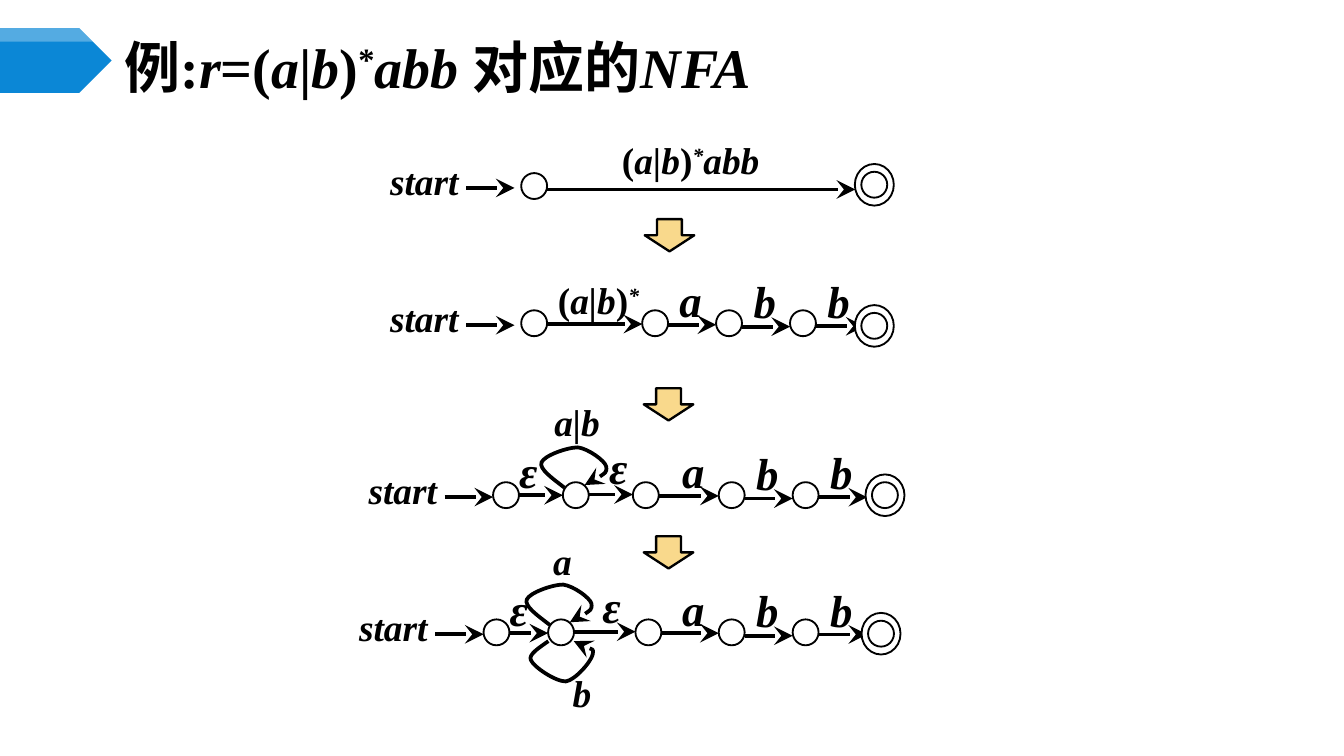
from lxml.etree import SubElement
from pptx import Presentation
from pptx.dml.color import RGBColor
from pptx.enum.shapes import MSO_CONNECTOR, MSO_SHAPE
from pptx.enum.text import MSO_ANCHOR, MSO_AUTO_SIZE, PP_ALIGN
from pptx.oxml.ns import qn
from pptx.util import Pt

THEME = {
    "font": "Times New Roman",
    "ink": RGBColor(0, 0, 0),
    "paper": RGBColor(255, 255, 255),
    "blue": RGBColor(0x0B, 0x87, 0xD6),
    "gold": RGBColor(0xF9, 0xD9, 0x8C),
    "title": 30, "label": 20, "sign": 24,
    "thin": 1, "edge": 2, "step": 1.25,
}

TITLE = [("例:", ""), ("r", "i"), ("=(", ""), ("a", "i"), ("|", ""), ("b", "i"),
         (")", ""), ("*", "s"), ("abb ", "i"), ("对应的", ""), ("NFA", "i")]
STAR = [("(", ""), ("a|b", "i"), (")", ""), ("*", "is")]
FULL = STAR + [("abb", "i")]
START, UNION, A, B, EPS = [[(text, "i")] for text in ("start", "a|b", "a", "b", "ε")]

UPPER = [(-6.1, -4), (-12.6, -9), (-19.8, -14), (-18.4, -17.6), (-16.9, -21.2),
         (-4.7, -25.6), (1.1, -25.6), (6.8, -24.8), (15.5, -18.4), (16.2, -15.5),
         (16.9, -11.9), (11.2, -8.3), (4.7, -5.4)]
LOWER = [(-6.8, 4.7), (-11.9, 8.3), (-17.6, 11.9), (-16.2, 14.8), (-14.8, 18.4),
         (-3.2, 26.3), (2.5, 26.3), (7.6, 25.6), (16.2, 15.5), (16.9, 11.9),
         (17.6, 8.3), (11.9, 6.8), (6.8, 4.7)]

ROWS = [
    {"mid": 99.7, "nodes": [286.2], "ring": (468.4, 99), "gap": 3.6, "reach": 165,
     "edges": [(FULL, "label", 370, 14, 1.8)], "loops": []},
    {"mid": 173.2, "nodes": [286.2, 351, 390.6, 430.2], "ring": (468.4, 174.6),
     "gap": 3.6, "reach": 26,
     "edges": [(STAR, "label", 320.7, 12.6, 0.4), (A, "sign", 370, 12.6, 0.8),
               (B, "sign", 409.7, 12, 1.8), (B, "sign", 449.3, 12, 1.6)], "loops": []},
    {"mid": 265.3, "nodes": [271.1, 308.5, 346, 392, 431.6], "ring": (474.1, 265.3),
     "gap": 0, "reach": 26,
     "edges": [(EPS, "sign", 283, 13.3, 0), (EPS, "sign", 331.2, 15.5, -0.4),
               (A, "sign", 371.5, 13.3, 0.4), (B, "sign", 411.1, 12, 1.8),
               (B, "sign", 450.7, 12.6, 1.1)],
     "loops": [(UPPER, 1, UNION, 309.2, 226)]},
    {"mid": 338.8, "nodes": [266, 300.6, 347.4, 392, 431.6], "ring": (472, 339.5),
     "gap": 0, "reach": 26,
     "edges": [(EPS, "sign", 277.9, 12.6, 0.4), (EPS, "sign", 327.6, 14.1, -0.4),
               (A, "sign", 371.5, 12.6, 0.4), (B, "sign", 411.1, 12, 1.8),
               (B, "sign", 450.7, 12, 1.1)],
     "loops": [(UPPER, 1, A, 301.3, 300.2), (LOWER, 1, B, 311.8, 370.8)]},
]
STEPS = [(345.4, 117.4), (344.9, 208), (344.9, 287.3)]
BADGE = [("blue", [(0, 15.1), (42.5, 15.1), (59.8, 32.4), (42.5, 49.7), (0, 49.7)]),
         ("paper", [(0, 15.1), (42.5, 15.1), (49.7, 22.3), (0, 22.3)])]
DOT, RING = 13.9, (20.9, 22.3)
LEAD, BACK, LIFT = 26, 22.3, 3.2


def put(item, **vals):
    for name, val in vals.items():
        setattr(item, name, val)


def paint(shape, fill=None, line=None):
    shape.shadow.inherit = False
    if fill:
        shape.fill.solid()
        shape.fill.fore_color.rgb = THEME[fill]
    else:
        shape.fill.background()
    if line:
        shape.line.color.rgb = THEME["ink"]
        shape.line.width = Pt(THEME[line])
    else:
        shape.line.fill.background()


def write(frame, runs, size, align):
    para = frame.paragraphs[0]
    para.alignment = align
    for text, marks in runs:
        run = para.add_run()
        run.text = text
        put(run.font, name=THEME["font"], size=Pt(THEME[size]), bold=True,
            italic="i" in marks)
        run.font.color.rgb = THEME["ink"]
        if "s" in marks:
            run.font._element.set("baseline", "30000")


def label(shapes, runs, size, x, y, high=24.5):
    wide = max(52, 11 * sum(len(text) for text, marks in runs))
    box = shapes.add_textbox(Pt(x - wide / 2), Pt(y - high / 2), Pt(wide), Pt(high))
    put(box.text_frame, word_wrap=False, vertical_anchor=MSO_ANCHOR.MIDDLE)
    write(box.text_frame, runs, size, PP_ALIGN.CENTER)


def oval(shapes, x, y, wide=DOT, high=DOT):
    dot = shapes.add_shape(MSO_SHAPE.OVAL, Pt(x - wide / 2), Pt(y - high / 2),
                           Pt(wide), Pt(high))
    paint(dot, "paper", "thin")


def tip(shape):
    SubElement(shape.line._get_or_add_ln(), qn("a:tailEnd"), type="stealth",
               w="lg", len="lg")


def arrow(shapes, x, end, y):
    edge = shapes.add_connector(MSO_CONNECTOR.STRAIGHT, Pt(x), Pt(y), Pt(end), Pt(y))
    edge.line.color.rgb = THEME["ink"]
    edge.line.width = Pt(THEME["edge"])
    tip(edge)
    SubElement(edge._element.spPr, qn("a:effectLst"))


def outline(shapes, points, close):
    spots = [(Pt(x), Pt(y)) for x, y in points]
    pen = shapes.build_freeform(*spots[0])
    pen.add_line_segments(spots[1:], close=close)
    return pen.convert_to_shape()


def loop(shapes, curve, x, y):
    arc = outline(shapes, [(x + dx, y + dy) for dx, dy in curve], False)
    legs = arc._element.xpath(".//a:lnTo")
    for i in range(0, len(legs), 3):
        bend = SubElement(legs[i].getparent(), qn("a:cubicBezTo"))
        for leg in legs[i:i + 3]:
            bend.append(leg[0])
            leg.getparent().remove(leg)
    paint(arc, line="edge")
    tip(arc)


def draw(shapes, row):
    mid, nodes, half = row["mid"], row["nodes"], DOT / 2
    end = nodes[0] - half - row["gap"]
    label(shapes, START, "label", end - LEAD - BACK, mid - LIFT)
    arrow(shapes, end - LEAD, end, mid + 1)
    ends = [x - half for x in nodes[1:]] + [nodes[-1] + half + row["reach"]]
    for x, end, (runs, size, spot, rise, drop) in zip(nodes, ends, row["edges"]):
        arrow(shapes, x + half, end, mid + drop)
        label(shapes, runs, size, spot, mid - rise)
    for curve, i, runs, x, y in row["loops"]:
        loop(shapes, curve, nodes[i], mid)
        label(shapes, runs, "label", x, y)
    for x in nodes:
        oval(shapes, x, mid)
    oval(shapes, *row["ring"], *RING)
    oval(shapes, *row["ring"])


def main():
    deck = Presentation()
    put(deck, slide_width=Pt(720), slide_height=Pt(405))
    slide = deck.slides.add_slide(deck.slide_layouts[5])
    title = slide.shapes.title
    put(title, left=Pt(59.5), top=Pt(21.2), width=Pt(624), height=Pt(28))
    put(title.text_frame, word_wrap=True, auto_size=MSO_AUTO_SIZE.NONE,
        vertical_anchor=MSO_ANCHOR.MIDDLE)
    write(title.text_frame, TITLE, "title", PP_ALIGN.LEFT)

    badge = slide.shapes.add_group_shape().shapes
    for fill, points in BADGE:
        part = outline(badge, points, True)
        paint(part, fill)
    tint = part._element.spPr.find(qn("a:solidFill"))[0]
    SubElement(tint, qn("a:alpha"), val="30000")

    for row in ROWS:
        draw(slide.shapes.add_group_shape().shapes, row)
    for x, y in STEPS:
        step = slide.shapes.add_shape(MSO_SHAPE.DOWN_ARROW, Pt(x), Pt(y), Pt(26.6), Pt(17.3))
        paint(step, "gold", "step")
    deck.save("out.pptx")


if __name__ == "__main__":
    main()
